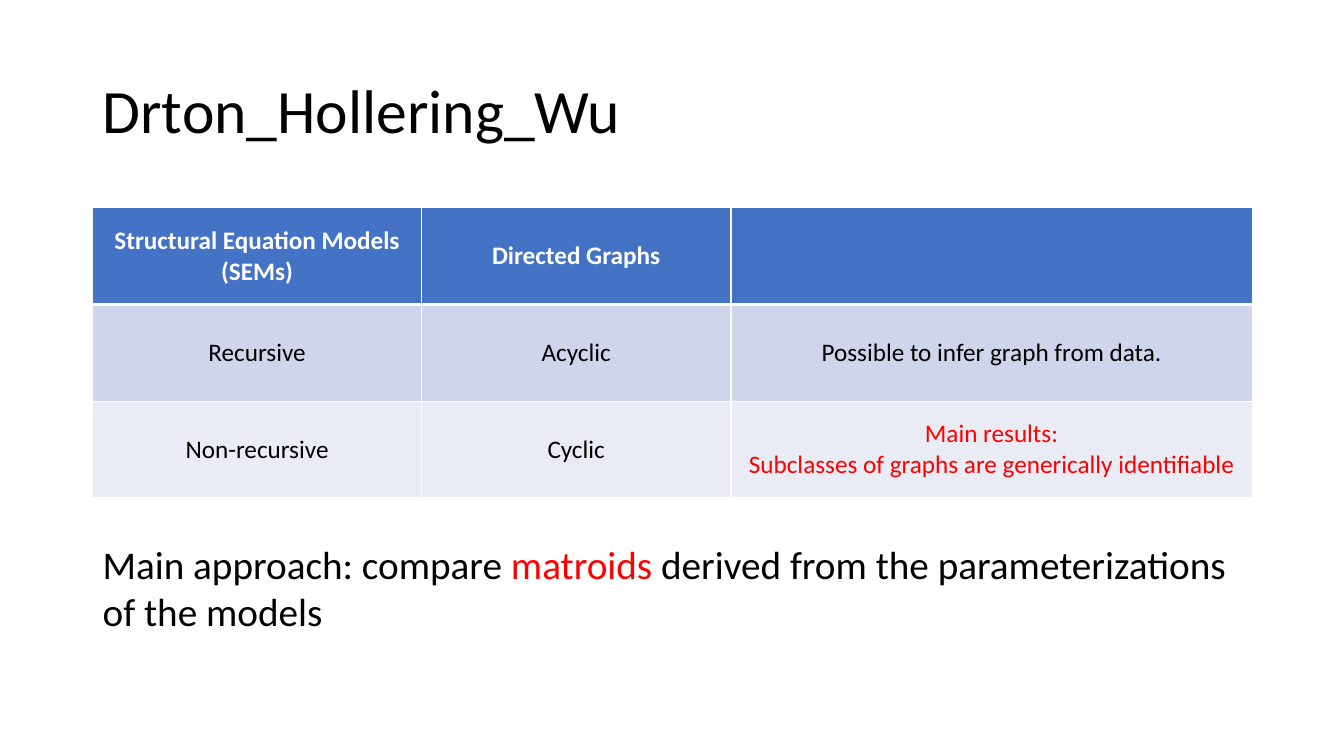
from lxml import etree
from pptx import Presentation
from pptx import util as u
from pptx.dml.color import RGBColor
from pptx.enum import text
from pptx.oxml.ns import qn

WIDE, HIGH = 13.33, 7.5
LEFT, SPAN = 0.92, 11.5
FONT = "Calibri"
HUES = {"ink": "000000", "white": "FFFFFF", "red": "FF0000",
        "head": "4472C4", "odd": "CFD5EA", "even": "E9EBF5"}
COLS = [3.26, 3.07, 5.17]
# Each cell is a list of lines
ROWS = [
    [["Structural Equation Models", "(SEMs)"], ["Directed Graphs"], []],
    [["Recursive"], ["Acyclic"], ["Possible to infer graph from data."]],
    [["Non-recursive"], ["Cyclic"],
     ["Main results:", "Subclasses of graphs are generically identifiable"]],
]


def add_run(para, words, size, hue="ink", bold=False):
    run = para.add_run()
    run.text = words
    font = run.font
    font.name, font.size, font.bold = FONT, u.Pt(size), bold
    font.color.rgb = RGBColor.from_string(HUES[hue])


def add_text(slide, box, runs, size, anchor=text.MSO_ANCHOR.TOP, pitch=None):
    """Place one paragraph of (words, hue) runs in the box."""
    frame = slide.shapes.add_textbox(*map(u.Inches, box)).text_frame
    frame.word_wrap = True
    frame.vertical_anchor = anchor
    para = frame.paragraphs[0]
    para.line_spacing = pitch
    for words, hue in runs:
        add_run(para, words, size, hue)


def add_edges(cell, widths):
    """Draw white borders, given side letter and width in points."""
    props = cell._tc.get_or_add_tcPr()
    for side, width in widths.items():
        line = etree.SubElement(props, qn("a:ln" + side), w=str(u.Pt(width)))
        fill = etree.SubElement(line, qn("a:solidFill"))
        etree.SubElement(fill, qn("a:srgbClr"), val=HUES["white"])


def fill_cell(cell, lines, row, hue):
    cell.vertical_anchor = text.MSO_ANCHOR.MIDDLE
    add_edges(cell, {"L": 1, "R": 1, "T": 3 if row == 1 else 1,
                     "B": 3 if row == 0 else 1})
    cell.fill.solid()
    cell.fill.fore_color.rgb = RGBColor.from_string(
        HUES[("head", "odd", "even")[row]])
    frame = cell.text_frame
    for i, words in enumerate(lines):
        para = frame.add_paragraph() if i else frame.paragraphs[0]
        para.alignment = text.PP_ALIGN.CENTER
        add_run(para, words, 18, hue, row == 0)


def add_models(slide, box):
    """Place the table of model classes in the box."""
    grid = slide.shapes.add_table(
        len(ROWS), len(COLS), *map(u.Inches, box)).table
    for col, share in zip(grid.columns, COLS):
        col.width = u.Inches(box[2] * share / sum(COLS))
    for r, row in enumerate(ROWS):
        grid.rows[r].height = u.Inches(box[3] / len(ROWS))
        for c, lines in enumerate(row):
            hue = "white" if r == 0 else "red" if (r, c) == (2, 2) else "ink"
            fill_cell(grid.cell(r, c), lines, r, hue)


def main():
    deck = Presentation()
    deck.slide_width, deck.slide_height = u.Inches(WIDE), u.Inches(HIGH)
    slide = deck.slides.add_slide(deck.slide_layouts[6])
    add_text(slide, (LEFT, 0.4, SPAN, 1.45), [("Drton_Hollering_Wu", "ink")],
             44, text.MSO_ANCHOR.MIDDLE, 0.9)
    add_models(slide, (LEFT, 2.06, SPAN, 2.88))
    add_text(slide, (LEFT, 5.31, SPAN, 1.04), [
        ("Main approach: compare ", "ink"), ("matroids", "red"),
        (" derived from the parameterizations of the models", "ink")], 28)
    deck.save("out.pptx")


if __name__ == "__main__":
    main()
